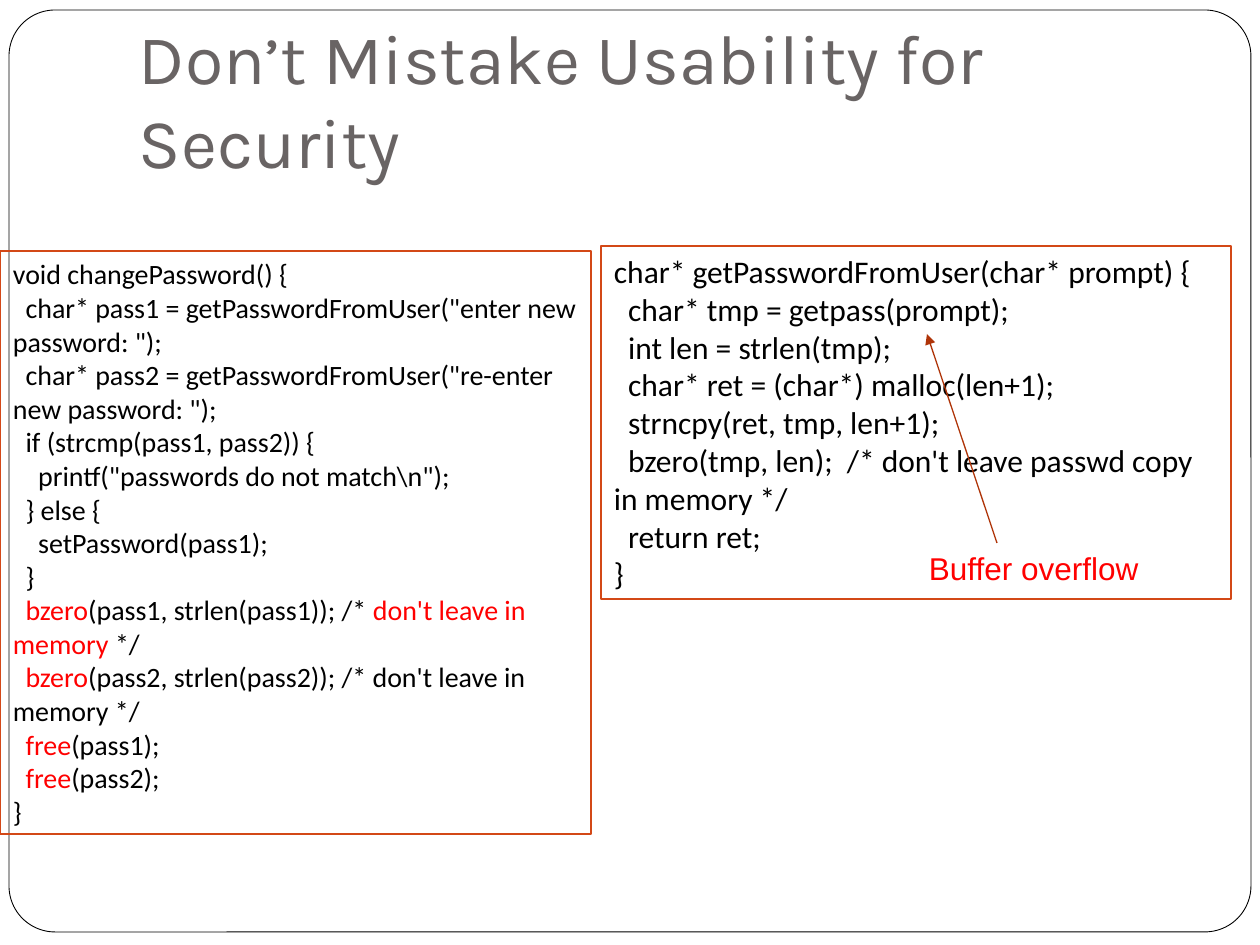
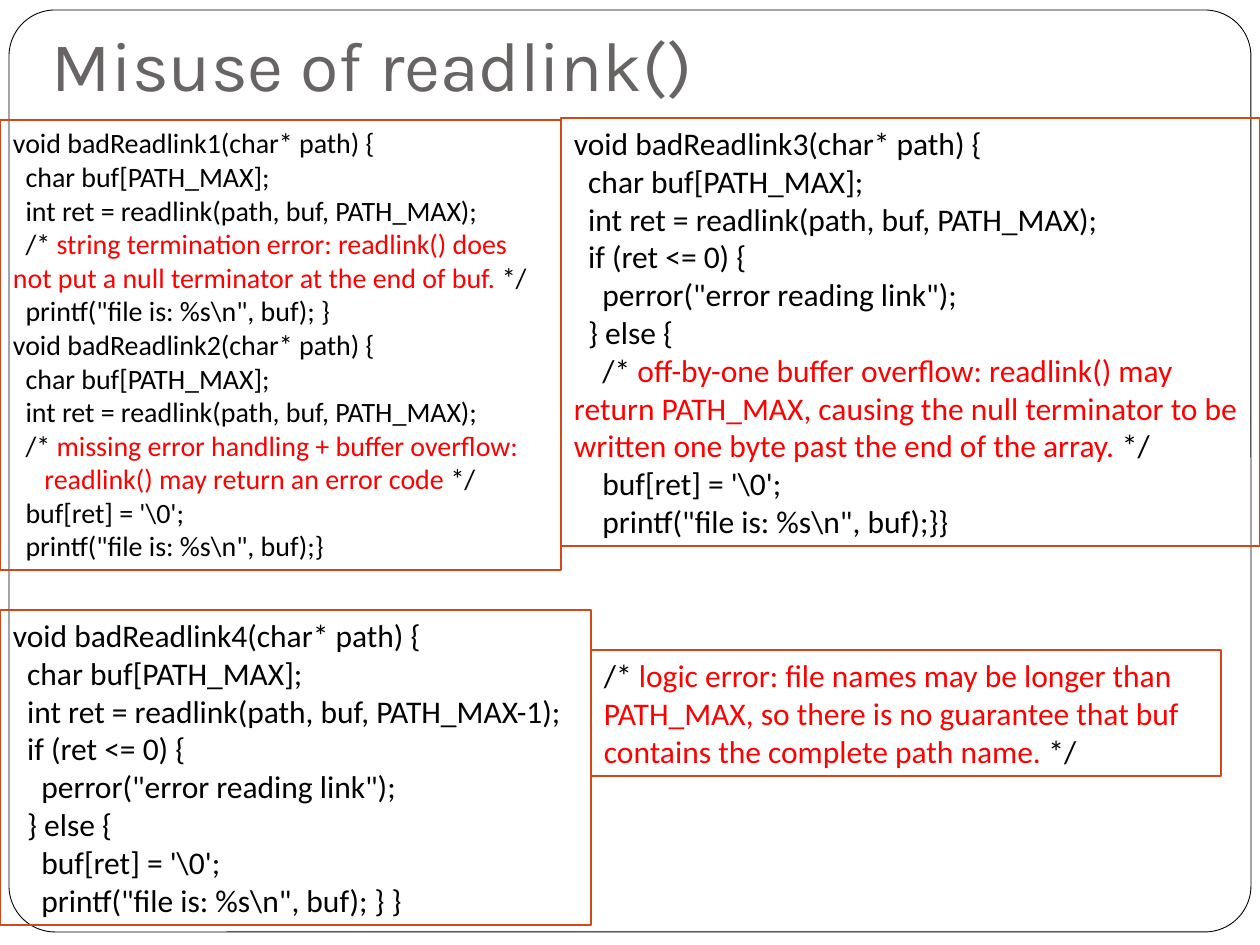
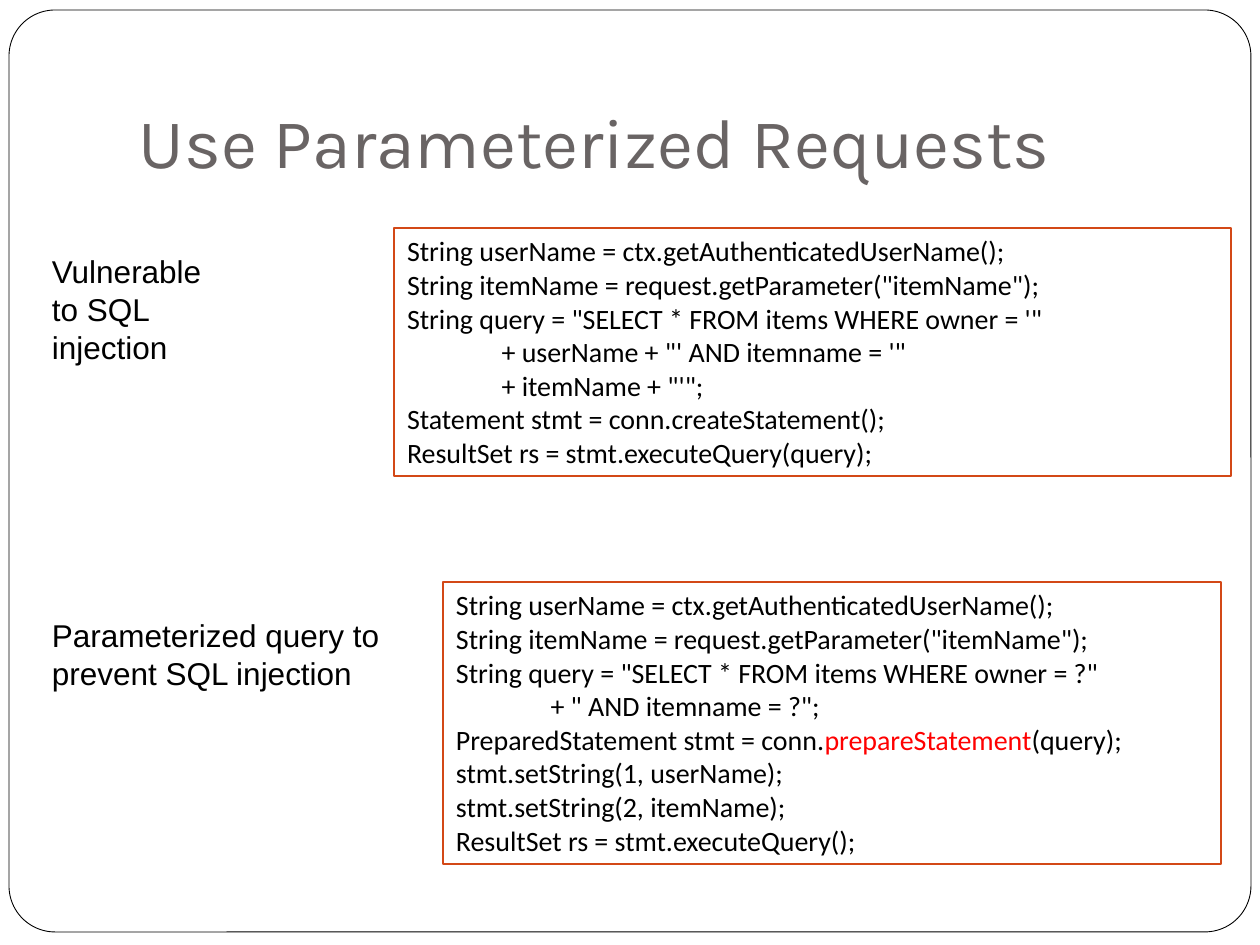
from pptx import Presentation
from pptx.dml.color import RGBColor
from pptx.enum.shapes import MSO_CONNECTOR, MSO_SHAPE
from pptx.enum.text import MSO_ANCHOR, MSO_AUTO_SIZE, PP_ALIGN
from pptx.oxml.ns import qn
from pptx.util import Pt
from lxml.etree import SubElement

EMU_PER_PIXEL = 914400 / 126
BLACK = "000000"
RED = "FF0000"
TITLE_GREY = "696464"
BORDER_ORANGE = "D34817"
ARROW_BROWN = "AF3408"

CHANGE_PASSWORD = r'''void changePassword() {
  char* pass1 = getPasswordFromUser("enter new password: ");
  char* pass2 = getPasswordFromUser("re-enter new password: ");
  if (strcmp(pass1, pass2)) {
    printf("passwords do not match\n");
  } else {
    setPassword(pass1);
  }
  |bzero|(pass1, strlen(pass1)); /* |don't leave in memory |*/
  |bzero|(pass2, strlen(pass2)); /* don't leave in memory */
  |free|(pass1);
  |free|(pass2);
}'''

GET_PASSWORD = r'''char* getPasswordFromUser(char* prompt) {
  char* tmp = getpass(prompt);
  int len = strlen(tmp);
  char* ret = (char*) malloc(len+1);
  strncpy(ret, tmp, len+1);
  bzero(tmp, len);  /* don't leave passwd copy in memory */
  return ret;
}'''

BAD_READLINK_1_2 = r'''void badReadlink1(char* path) {
  char buf[PATH_MAX];
  int ret = readlink(path, buf, PATH_MAX);
  /* |string termination error: readlink() does not put a null terminator at the end of buf.| */
  printf("file is: %s\n", buf); }
void badReadlink2(char* path) {
  char buf[PATH_MAX];
  int ret = readlink(path, buf, PATH_MAX);
  /* |missing error handling + buffer overflow:
|     readlink() may return an error code |*/
  buf[ret] = '\0';
  printf("file is: %s\n", buf);}'''

BAD_READLINK_3 = r'''void badReadlink3(char* path) {
  char buf[PATH_MAX];
  int ret = readlink(path, buf, PATH_MAX);
  if (ret <= 0) {
    perror("error reading link");
  } else {
    /* |off-by-one buffer overflow: readlink() may return PATH_MAX, causing the null terminator to be written one byte past the end of the array.| */
    buf[ret] = '\0';
    printf("file is: %s\n", buf);}}'''

BAD_READLINK_4 = r'''void badReadlink4(char* path) {
  char buf[PATH_MAX];
  int ret = readlink(path, buf, PATH_MAX-1);
  if (ret <= 0) {
    perror("error reading link");
  } else {
    buf[ret] = '\0';
    printf("file is: %s\n", buf); } }'''

LOGIC_ERROR = "/* |logic error: file names may be longer than PATH_MAX, so there is no guarantee that buf contains the complete path name. |*/"

VULNERABLE_QUERY = '''String userName = ctx.getAuthenticatedUserName();
String itemName = request.getParameter("itemName");
String query = "SELECT * FROM items WHERE owner = '"
               + userName + "' AND itemname = '"
               + itemName + "'";
Statement stmt = conn.createStatement();
ResultSet rs = stmt.executeQuery(query);'''

PARAMETERIZED_QUERY = '''String userName = ctx.getAuthenticatedUserName();
String itemName = request.getParameter("itemName");
String query = "SELECT * FROM items WHERE owner = ?"
               + " AND itemname = ?";
PreparedStatement stmt = conn.|prepareStatement|(query);
stmt.setString(1, userName);
stmt.setString(2, itemName);
ResultSet rs = stmt.executeQuery();'''


def px(*lengths):
    return [round(length * EMU_PER_PIXEL) for length in lengths]


def rgb(color):
    return RGBColor.from_string(color)


def set_line(line, color, width):
    line.color.rgb = rgb(color)
    line.width = Pt(width)


def write_text(box, text, size, font, colors, bottom=6):
    frame = box.text_frame
    frame.word_wrap = True
    frame.vertical_anchor = MSO_ANCHOR.TOP
    frame.margin_left, frame.margin_top, frame.margin_right, frame.margin_bottom = px(13, 6, 13, bottom)
    for index, line in enumerate(text.split("\n")):
        paragraph = frame.add_paragraph() if index else frame.paragraphs[0]
        paragraph.alignment = PP_ALIGN.LEFT
        for position, part in enumerate(line.split("|")):
            if part:
                span = paragraph.add_run()
                span.text = part
                span.font.size = Pt(size)
                span.font.name = font
                span.font.color.rgb = rgb(colors[position % len(colors)])
    return frame


def add_page(deck, title, left=126, top=38):
    page = deck.slides.add_slide(deck.slide_layouts[6])
    border = page.shapes.add_shape(MSO_SHAPE.ROUNDED_RECTANGLE, *px(9, 10, 1242, 922))
    border.adjustments[0] = 0.05
    border.shadow.inherit = False
    border.fill.solid()
    border.fill.fore_color.rgb = rgb("FFFFFF")
    set_line(border.line, BLACK, 0.5)
    heading = page.shapes.add_textbox(*px(left, top, 1071, 157))
    write_text(heading, title, 40, "Karla", [TITLE_GREY], 13).vertical_anchor = MSO_ANCHOR.BOTTOM
    return page


def add_code(page, bounds, code, size):
    box = page.shapes.add_shape(MSO_SHAPE.RECTANGLE, *px(*bounds))
    box.shadow.inherit = False
    box.fill.background()
    set_line(box.line, BORDER_ORANGE, 0.75)
    write_text(box, code, size, "Calibri", [BLACK, RED]).auto_size = MSO_AUTO_SIZE.SHAPE_TO_FIT_TEXT


def add_label(page, bounds, text, color=BLACK):
    box = page.shapes.add_textbox(*px(*bounds))
    write_text(box, text, 18, "Arial", [color]).auto_size = MSO_AUTO_SIZE.SHAPE_TO_FIT_TEXT


def add_arrow(page, *ends):
    arrow = page.shapes.add_connector(MSO_CONNECTOR.STRAIGHT, *px(*ends))
    set_line(arrow.line, ARROW_BROWN, 0.75)
    properties = arrow._element.spPr
    SubElement(properties.find(qn("a:ln")), qn("a:tailEnd"), type="triangle")
    SubElement(properties, qn("a:effectLst"))


def main():
    deck = Presentation()
    deck.slide_width, deck.slide_height = px(1260, 945)

    page = add_page(deck, "Don’t Mistake Usability for Security")
    add_code(page, (0, 251, 591, 583), CHANGE_PASSWORD, 16)
    add_code(page, (601, 246, 630, 353), GET_PASSWORD, 18)
    add_label(page, (916, 543, 258, 50), "Buffer overflow", RED)
    add_arrow(page, 997, 543, 927, 334)

    page = add_page(deck, "Misuse of readlink()", 39, -39)
    add_code(page, (0, 120, 561, 450), BAD_READLINK_1_2, 16)
    add_code(page, (561, 118, 699, 428), BAD_READLINK_3, 18)
    add_code(page, (0, 610, 591, 315), BAD_READLINK_4, 18)
    add_code(page, (591, 650, 630, 126), LOGIC_ERROR, 18)

    page = add_page(deck, "Use Parameterized Requests")
    add_code(page, (394, 228, 837, 248), VULNERABLE_QUERY, 16)
    add_code(page, (443, 582, 778, 282), PARAMETERIZED_QUERY, 16)
    add_label(page, (39, 246, 178, 126), "Vulnerable to SQL injection")
    add_label(page, (39, 610, 364, 88), "Parameterized query to prevent SQL injection")

    deck.save("out.pptx")


if __name__ == "__main__":
    main()
